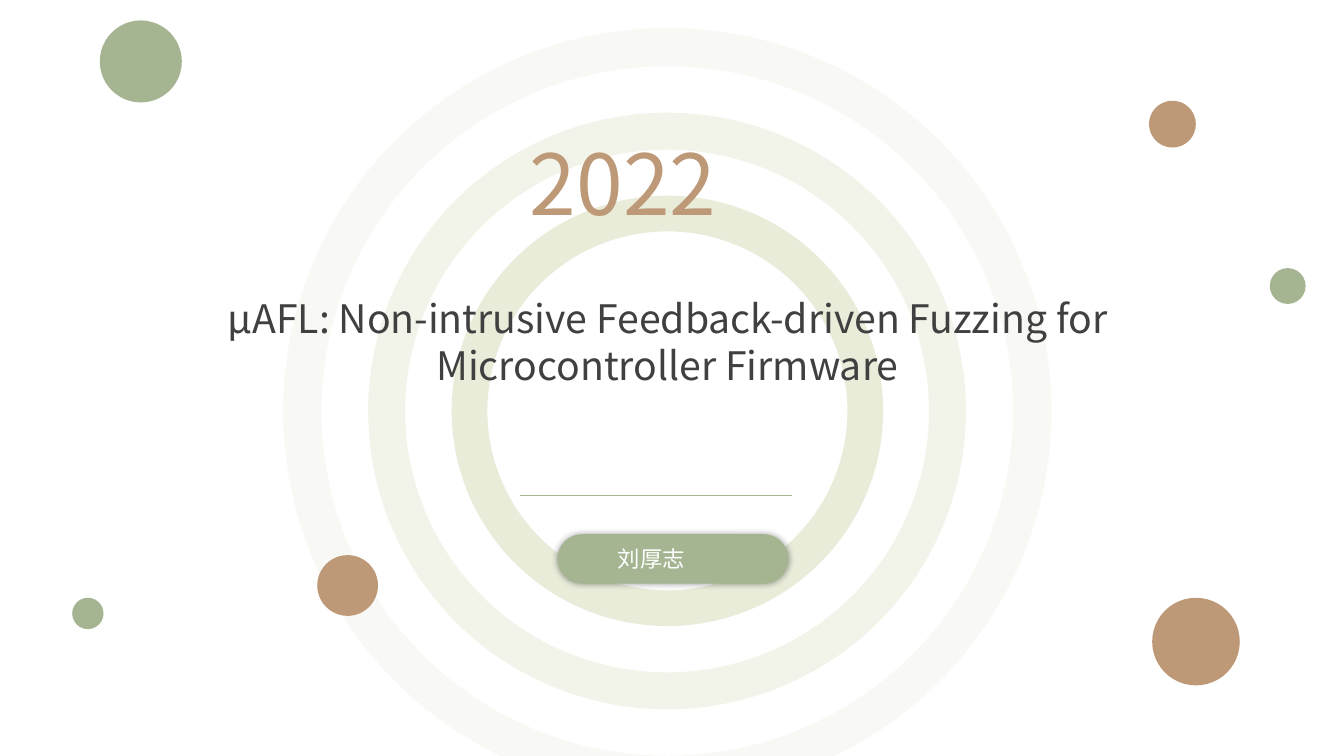
"""Build the opening slide of a talk on microcontroller fuzzing."""
from lxml import etree
from pptx import Presentation
from pptx.dml.color import RGBColor
from pptx.enum.shapes import MSO_CONNECTOR, MSO_SHAPE
from pptx.enum.text import MSO_ANCHOR, PP_ALIGN
from pptx.oxml.ns import qn
from pptx.util import Pt

DONUT, OVAL, PILL = MSO_SHAPE.DONUT, MSO_SHAPE.OVAL, MSO_SHAPE.ROUNDED_RECTANGLE
LINE = MSO_CONNECTOR.STRAIGHT
TOP = MSO_ANCHOR.TOP
CENTER, JUSTIFY = PP_ALIGN.CENTER, PP_ALIGN.JUSTIFY
GREEN, BROWN, PALE = "A5B592", "BD9977", "DFE5CA"
FONT = "Noto Sans CJK SC"


def paint(shapes, kind, box, color):
    shape = shapes.add_shape(kind, *map(Pt, box))
    shape.shadow.inherit = False
    shape.fill.solid()
    shape.fill.fore_color.rgb = RGBColor.from_string(color)
    shape.line.fill.background()
    return shape


def write(shape, text, size, color, align):
    frame = shape.text_frame
    frame.word_wrap = True
    frame.vertical_anchor = TOP
    para = frame.paragraphs[0]
    para.alignment = align
    run = para.add_run()
    run.text = text
    run.font.size = Pt(size)
    run.font.name = FONT
    run.font.color.rgb = RGBColor.from_string(color)
    etree.SubElement(run.font._element, qn("a:ea"), typeface=FONT)


deck = Presentation()
deck.slide_width, deck.slide_height = Pt(960), Pt(540)
slide = deck.slides.add_slide(deck.slide_layouts[5])
shapes = slide.shapes

rings = [
    (202.3, 20, 548.8, 547.2, 0.05, 20),
    (263, 80.5, 427, 426.2, 0.062, 40),
    (322.6, 139.8, 308.2, 307.4, 0.083, 70),
]
for *box, hole, alpha in rings:
    ring = paint(shapes, DONUT, box, PALE)
    ring.adjustments[0] = hole
    tint = ring.fill._xPr.find(".//" + qn("a:srgbClr"))
    etree.SubElement(tint, qn("a:alpha"), val=str(alpha * 1000))

dots = [
    (820.8, 72, 33.4, BROWN),
    (823, 427, 62.6, BROWN),
    (51.6, 427, 22.4, GREEN),
    (226.6, 396.5, 43.4, BROWN),
    (71.3, 14.6, 58.6, GREEN),
    (907, 191.5, 25.6, GREEN),
]
for left, top, size, color in dots:
    paint(shapes, OVAL, (left, top, size, size), color)

rule = shapes.add_connector(LINE, Pt(371.5), Pt(354), Pt(566), Pt(354))
rule.line.color.rgb = RGBColor.from_string(GREEN)
rule.line.width = Pt(0.5)
etree.SubElement(rule.line._get_or_add_ln().getparent(), qn("a:effectLst"))

year = shapes.add_textbox(Pt(371.5), Pt(90.7), Pt(194.4), Pt(80))
write(year, "2022", 60, BROWN, JUSTIFY)

title = shapes.title
title.left, title.top, title.width, title.height = map(Pt, (129, 206.6, 695.5, 75))
write(title, "μAFL: Non-intrusive Feedback-driven Fuzzing for Microcontroller Firmware",
      28, "404040", CENTER)
shapes._spTree.append(title._element)

badge = shapes.add_group_shape()
pill = paint(badge.shapes, PILL, (398.2, 381.6, 164.9, 35.3), GREEN)
pill.adjustments[0] = 0.5
glow = etree.SubElement(pill._element.spPr.find(qn("a:effectLst")), qn("a:outerShdw"),
                        blurRad=str(Pt(5)), dist="0", dir="0", algn="ctr", rotWithShape="0")
black = etree.SubElement(glow, qn("a:srgbClr"), val="000000")
etree.SubElement(black, qn("a:alpha"), val="40000")
name = badge.shapes.add_textbox(Pt(434.2), Pt(385.9), Pt(92.9), Pt(26.6))
write(name, "刘厚志", 16, "FFFFFF", JUSTIFY)

deck.save("out.pptx")
